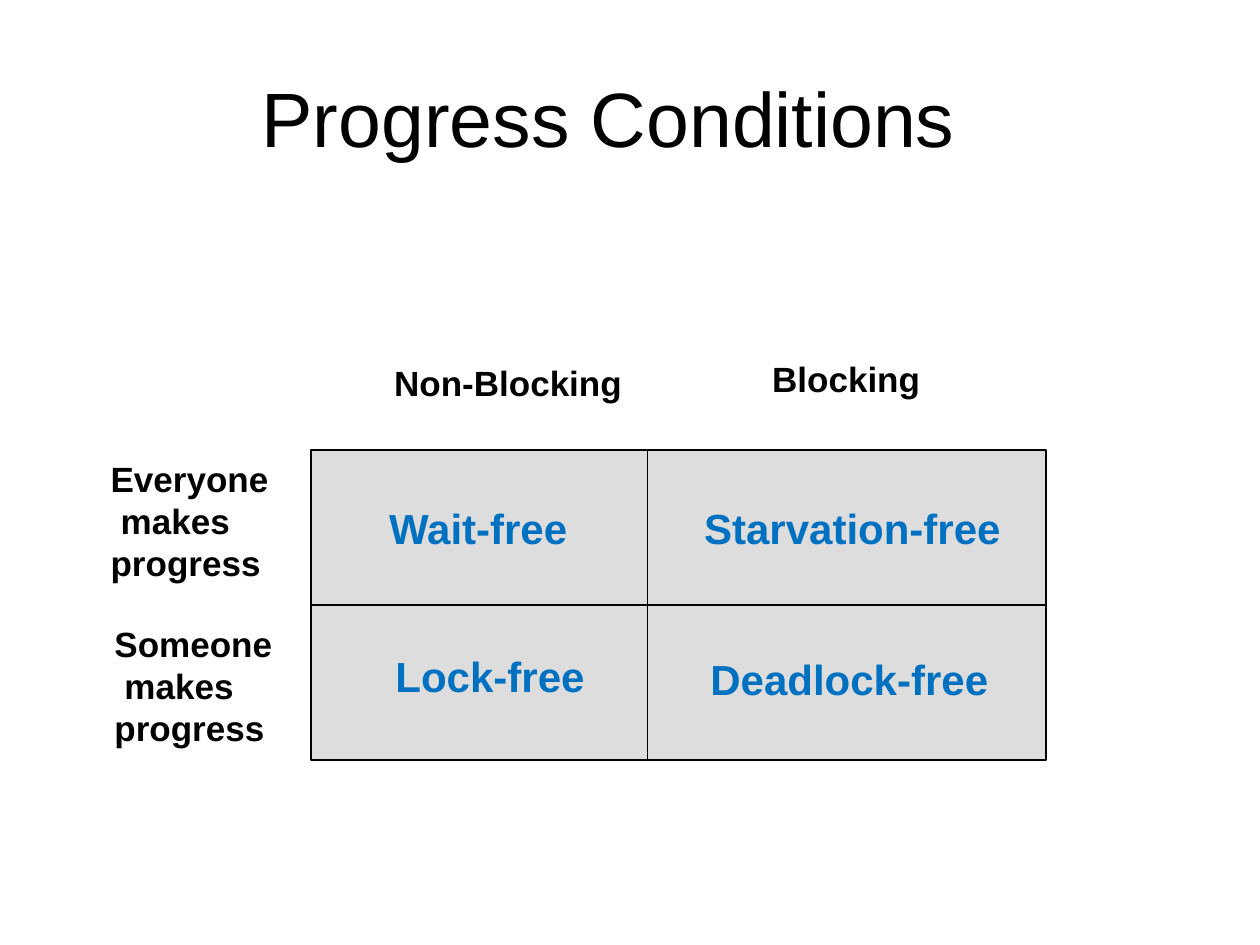
from dataclasses import dataclass

from lxml import etree
from pptx import Presentation
from pptx.dml.color import RGBColor
from pptx.enum.shapes import MSO_CONNECTOR, MSO_SHAPE
from pptx.enum.text import MSO_ANCHOR, MSO_AUTO_SIZE, PP_ALIGN
from pptx.oxml.ns import qn
from pptx.util import Inches, Pt

RECTANGLE = MSO_SHAPE.RECTANGLE
STRAIGHT = MSO_CONNECTOR.STRAIGHT
MIDDLE = MSO_ANCHOR.MIDDLE
FIT_SHAPE = MSO_AUTO_SIZE.SHAPE_TO_FIT_TEXT
LEFT, CENTER = PP_ALIGN.LEFT, PP_ALIGN.CENTER
LEFT_SIDE, RIGHT_SIDE = 1, 3
TITLE_ONLY = 5


@dataclass(frozen=True)
class Theme:
    font: str = "Arial"
    ink: RGBColor = RGBColor(0x00, 0x00, 0x00)
    accent: RGBColor = RGBColor(0x00, 0x70, 0xC0)
    panel: RGBColor = RGBColor(0xDD, 0xDD, 0xDD)
    title_size: int = 44
    condition_size: int = 24
    heading_size: int = 20
    line_width: int = 1


THEME = Theme()

GRID_LEFT, GRID_TOP, GRID_WIDTH, GRID_HEIGHT = 2.47, 3.57, 5.83, 2.46
COLUMN_SPLIT = 5.14
MAKES_INDENT = 0.08

CONDITIONS = [
    ("Wait-free", 2.99, 3.94, 1.63),
    ("Lock-free", 3.04, 5.11, 1.72),
    ("Starvation-free", 5.49, 3.94, 2.58),
    ("Deadlock-free", 5.54, 5.14, 2.43),
]
COLUMN_HEADINGS = [
    ("Non-Blocking", 3.03, 2.82, 2.03),
    ("Blocking", 6.03, 2.79, 1.39),
]
ROW_HEADINGS = [
    ("Everyone", 0.78, 3.58),
    ("Someone", 0.81, 4.89),
]


def write_text(frame, text, *, size, color=THEME.ink, bold=False, align=LEFT):
    frame.text = text
    for paragraph in frame.paragraphs:
        paragraph.alignment = align
        for run in paragraph.runs:
            run.font.name = THEME.font
            run.font.size = Pt(size)
            run.font.bold = bold
            run.font.color.rgb = color


def set_title(slide, text):
    title = slide.shapes.title
    title.left, title.top = Inches(0.5), Inches(0.3)
    title.width, title.height = Inches(9), Inches(1.25)
    frame = title.text_frame
    frame.vertical_anchor = MIDDLE
    frame.margin_right = Inches(0.44)
    write_text(frame, text, size=THEME.title_size, align=CENTER)


def add_label(slide, text, left, top, width, height, **text_format):
    label = slide.shapes.add_textbox(
        Inches(left), Inches(top), Inches(width), Inches(height))
    frame = label.text_frame
    frame.word_wrap = False
    frame.auto_size = FIT_SHAPE
    write_text(frame, text, bold=True, **text_format)
    return frame


def add_row_heading(slide, who, left, top):
    frame = add_label(slide, f"{who}\nmakes\nprogress", left, top, 1.47, 1.11,
                      size=THEME.heading_size)
    makes_line = frame.paragraphs[1]
    makes_line._p.get_or_add_pPr().set("marL", str(Inches(MAKES_INDENT)))


def add_panel(slide):
    panel = slide.shapes.add_shape(
        RECTANGLE, Inches(GRID_LEFT), Inches(GRID_TOP),
        Inches(GRID_WIDTH), Inches(GRID_HEIGHT))
    panel.shadow.inherit = False
    panel.fill.solid()
    panel.fill.fore_color.rgb = THEME.panel
    panel.line.color.rgb = THEME.ink
    panel.line.width = Pt(THEME.line_width)
    return panel


def add_divider(slide, x1, y1, x2, y2):
    divider = slide.shapes.add_connector(
        STRAIGHT, Inches(x1), Inches(y1), Inches(x2), Inches(y2))
    divider.line.color.rgb = THEME.ink
    divider.line.width = Pt(THEME.line_width)
    etree.SubElement(divider._element.spPr, qn("a:effectLst"))
    return divider


def add_grid(slide):
    panel = add_panel(slide)
    bottom = GRID_TOP + GRID_HEIGHT
    row_split = GRID_TOP + GRID_HEIGHT / 2
    row_divider = add_divider(
        slide, GRID_LEFT, row_split, GRID_LEFT + GRID_WIDTH, row_split)
    row_divider.begin_connect(panel, LEFT_SIDE)
    row_divider.end_connect(panel, RIGHT_SIDE)
    add_divider(slide, COLUMN_SPLIT, bottom, COLUMN_SPLIT, GRID_TOP)


def main():
    deck = Presentation()
    deck.slide_width, deck.slide_height = Inches(10), Inches(7.5)
    slide = deck.slides.add_slide(deck.slide_layouts[TITLE_ONLY])

    set_title(slide, "Progress Conditions")
    add_grid(slide)
    for condition, left, top, width in CONDITIONS:
        add_label(slide, condition, left, top, width, 0.51,
                  size=THEME.condition_size, color=THEME.accent)
    for heading, left, top, width in COLUMN_HEADINGS:
        add_label(slide, heading, left, top, width, 0.44,
                  size=THEME.heading_size)
    for who, left, top in ROW_HEADINGS:
        add_row_heading(slide, who, left, top)

    deck.save("out.pptx")


if __name__ == "__main__":
    main()
